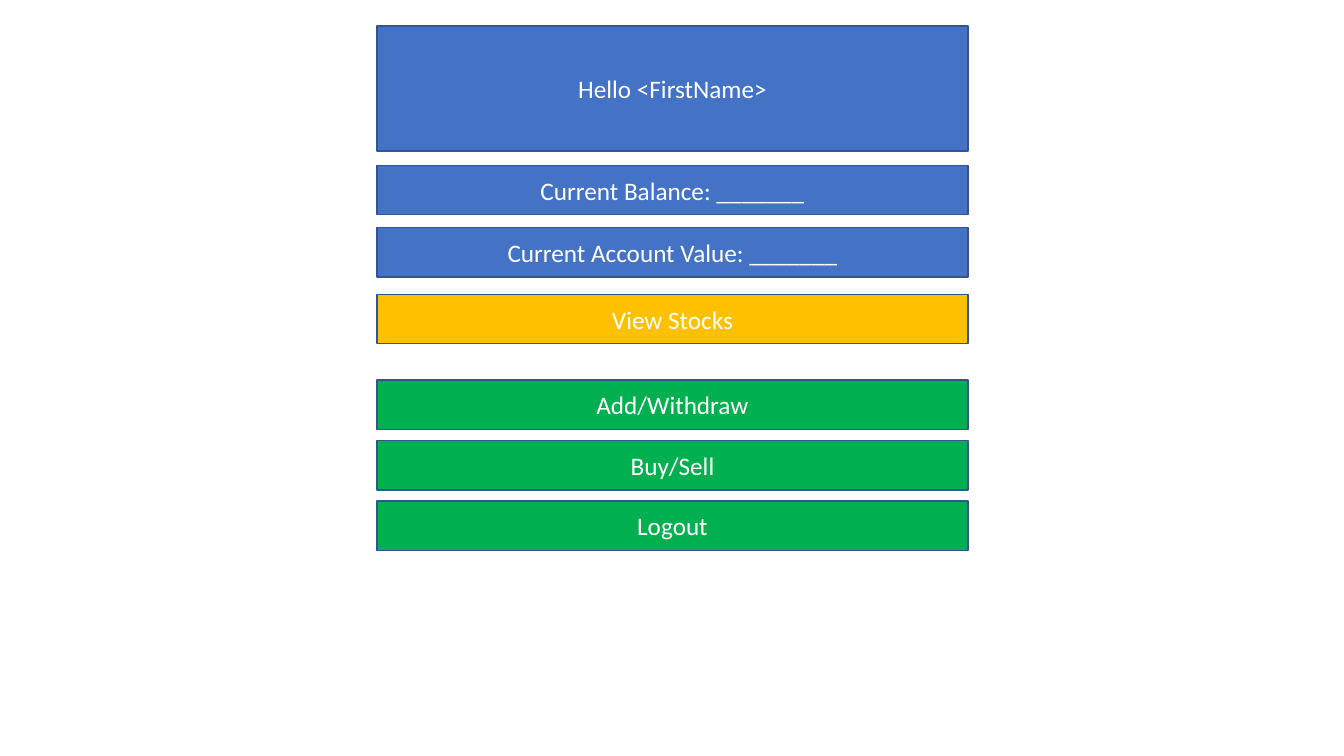
from pptx import Presentation
from pptx.dml.color import RGBColor
from pptx.enum.shapes import MSO_SHAPE
from pptx.enum.text import MSO_ANCHOR, PP_ALIGN
from pptx.util import Inches, Pt

BLUE, GOLD, GREEN = "4472C4", "FFC000", "00B050"
EDGE, WHITE = "325491", "FFFFFF"
LEFT, WIDTH = 3.74, 5.86
HEAD, ROW = 1.24, 0.49


def color(code):
    return RGBColor.from_string(code)


deck = Presentation()
deck.slide_width = Inches(13.33)
deck.slide_height = Inches(7.5)
slide = deck.slides.add_slide(deck.slide_layouts[6])

bars = [
    ("Hello <FirstName>", 0.26, HEAD, BLUE),
    ("Current Balance: _______", 1.64, ROW, BLUE),
    ("Current Account Value: _______", 2.26, ROW, BLUE),
    ("View Stocks", 2.92, ROW, GOLD),
]
for index, label in enumerate(["Add/Withdraw", "Buy/Sell", "Logout"]):
    bars.append((label, 3.77 + 0.6 * index, ROW, GREEN))

for label, top, height, fill in bars:
    bar = slide.shapes.add_shape(
        MSO_SHAPE.RECTANGLE, Inches(LEFT), Inches(top), Inches(WIDTH), Inches(height)
    )
    bar.shadow.inherit = False
    bar.fill.solid()
    bar.fill.fore_color.rgb = color(fill)
    bar.line.color.rgb = color(EDGE)
    bar.line.width = Pt(1)

    frame = bar.text_frame
    frame.text = label
    frame.word_wrap = True
    frame.vertical_anchor = MSO_ANCHOR.MIDDLE
    line = frame.paragraphs[0]
    line.alignment = PP_ALIGN.CENTER
    font = line.runs[0].font
    font.name = "Calibri"
    font.size = Pt(18)
    font.color.rgb = color(WHITE)

deck.save("out.pptx")
